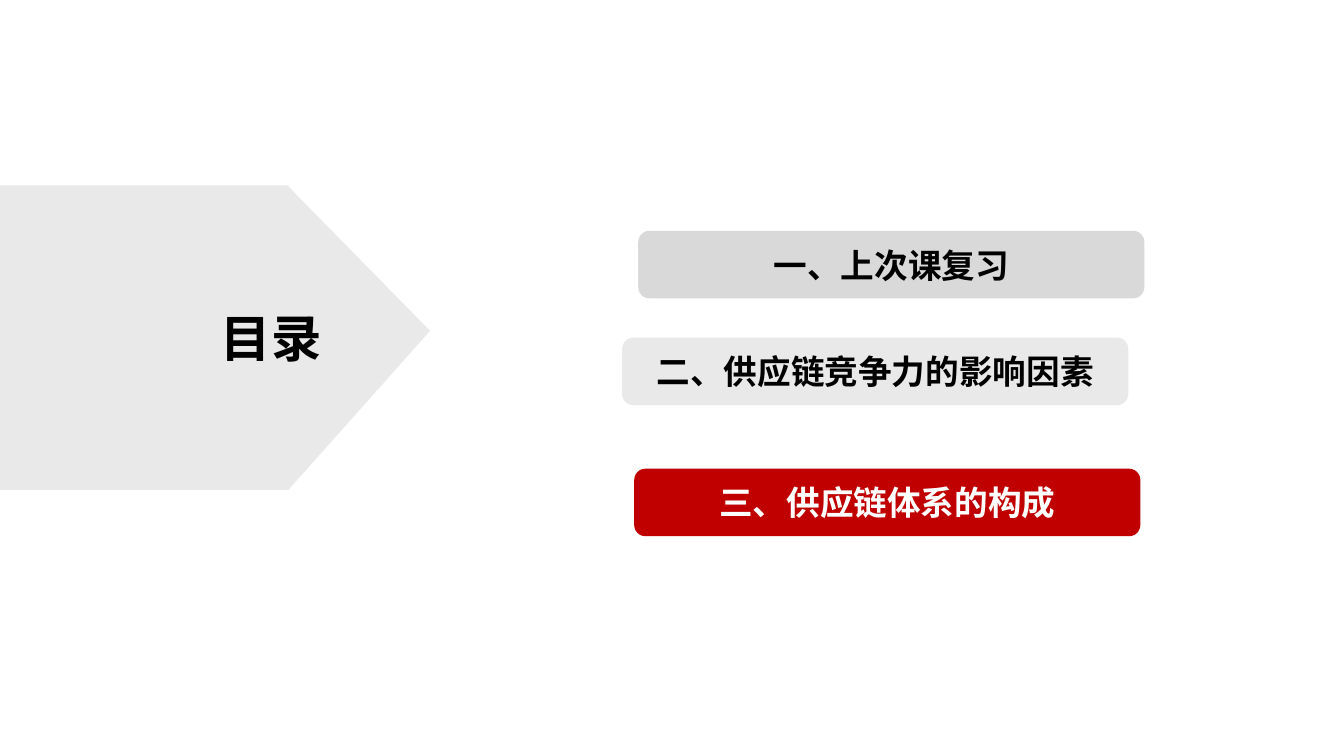
"""Build a contents slide with an arrow banner and three section buttons."""
from dataclasses import dataclass

from lxml import etree
from pptx import Presentation
from pptx import util as u
from pptx.dml.color import RGBColor
from pptx.enum import shapes, text
from pptx.oxml.ns import qn

PX_PER_INCH = 100
FONT = "Noto Sans CJK SC"
BLACK, WHITE, RED = "000000", "FFFFFF", "C00000"
PALE_GREY, MID_GREY = "E9E9EA", "D9D9D9"
BUTTON_WIDTH, BUTTON_HEIGHT = 502, 67


@dataclass(frozen=True)
class Box:
    """A frame on the slide, in px."""
    left: int
    top: int
    width: int
    height: int


@dataclass(frozen=True)
class Section:
    """One section button of the contents list."""
    label: str
    left: int
    top: int
    fill: str
    ink: str = BLACK


SECTIONS = [
    Section("二、供应链竞争力的影响因素", 617, 335, PALE_GREY),
    Section("三、供应链体系的构成", 629, 465, RED, WHITE),
    Section("一、上次课复习", 633, 229, MID_GREY),
]


def px(length: int) -> int:
    """Turn px into EMU."""
    return u.Inches(length / PX_PER_INCH)


def colour(value: str) -> RGBColor:
    """Turn a hex string into a colour."""
    return RGBColor.from_string(value)


def add_filled(parent, kind: shapes.MSO_SHAPE, box: Box, fill: str):
    """Add a plain filled shape to a shape collection."""
    shape = parent.add_shape(
        kind, px(box.left), px(box.top), px(box.width), px(box.height))
    shape.shadow.inherit = False
    shape.fill.solid()
    shape.fill.fore_color.rgb = colour(fill)
    shape.line.fill.background()
    return shape


def write(shape, label: str, size: int, ink: str, alignment: text.PP_ALIGN) -> None:
    """Write one bold run in the shape's first paragraph."""
    paragraph = shape.text_frame.paragraphs[0]
    paragraph.alignment = alignment
    run = paragraph.add_run()
    run.text = label
    run.font.size = u.Pt(size)
    run.font.bold = True
    run.font.name = FONT
    run.font.color.rgb = colour(ink)
    properties = run._r.get_or_add_rPr()
    etree.SubElement(properties, qn("a:ea")).set("typeface", FONT)


def add_banner(slide) -> None:
    """Draw the arrow banner as a grouped rectangle and triangle."""
    banner = slide.shapes.add_group_shape()
    add_filled(banner.shapes, shapes.MSO_SHAPE.RECTANGLE,
               Box(0, 184, 286, 302), PALE_GREY)
    tip = add_filled(banner.shapes, shapes.MSO_SHAPE.ISOSCELES_TRIANGLE,
                     Box(205, 265, 302, 141), PALE_GREY)
    tip.adjustments[0] = 0.476
    tip.rotation = 90


def place_title(slide, label: str, box: Box) -> None:
    """Put the slide title in front of the banner."""
    title = slide.shapes.title
    title.left, title.top = px(box.left), px(box.top)
    title.width, title.height = px(box.width), px(box.height)
    frame = title.text_frame
    frame.word_wrap = False
    frame.auto_size = text.MSO_AUTO_SIZE.SHAPE_TO_FIT_TEXT
    frame.vertical_anchor = text.MSO_ANCHOR.TOP
    write(title, label, 36, BLACK, text.PP_ALIGN.LEFT)
    title.element.getparent().append(title.element)


def add_section(slide, section: Section) -> None:
    """Draw one section button."""
    box = Box(section.left, section.top, BUTTON_WIDTH, BUTTON_HEIGHT)
    button = add_filled(slide.shapes, shapes.MSO_SHAPE.ROUNDED_RECTANGLE,
                        box, section.fill)
    button.text_frame.word_wrap = True
    button.text_frame.vertical_anchor = text.MSO_ANCHOR.MIDDLE
    write(button, section.label, 24, section.ink, text.PP_ALIGN.CENTER)


def main() -> None:
    """Build and save the presentation."""
    presentation = Presentation()
    presentation.slide_width, presentation.slide_height = px(1333), px(750)
    layout = presentation.slide_layouts.get_by_name("Title Only")
    slide = presentation.slides.add_slide(layout)
    add_banner(slide)
    place_title(slide, "目录", Box(209, 300, 121, 71))
    for section in SECTIONS:
        add_section(slide, section)
    presentation.save("out.pptx")


if __name__ == "__main__":
    main()
